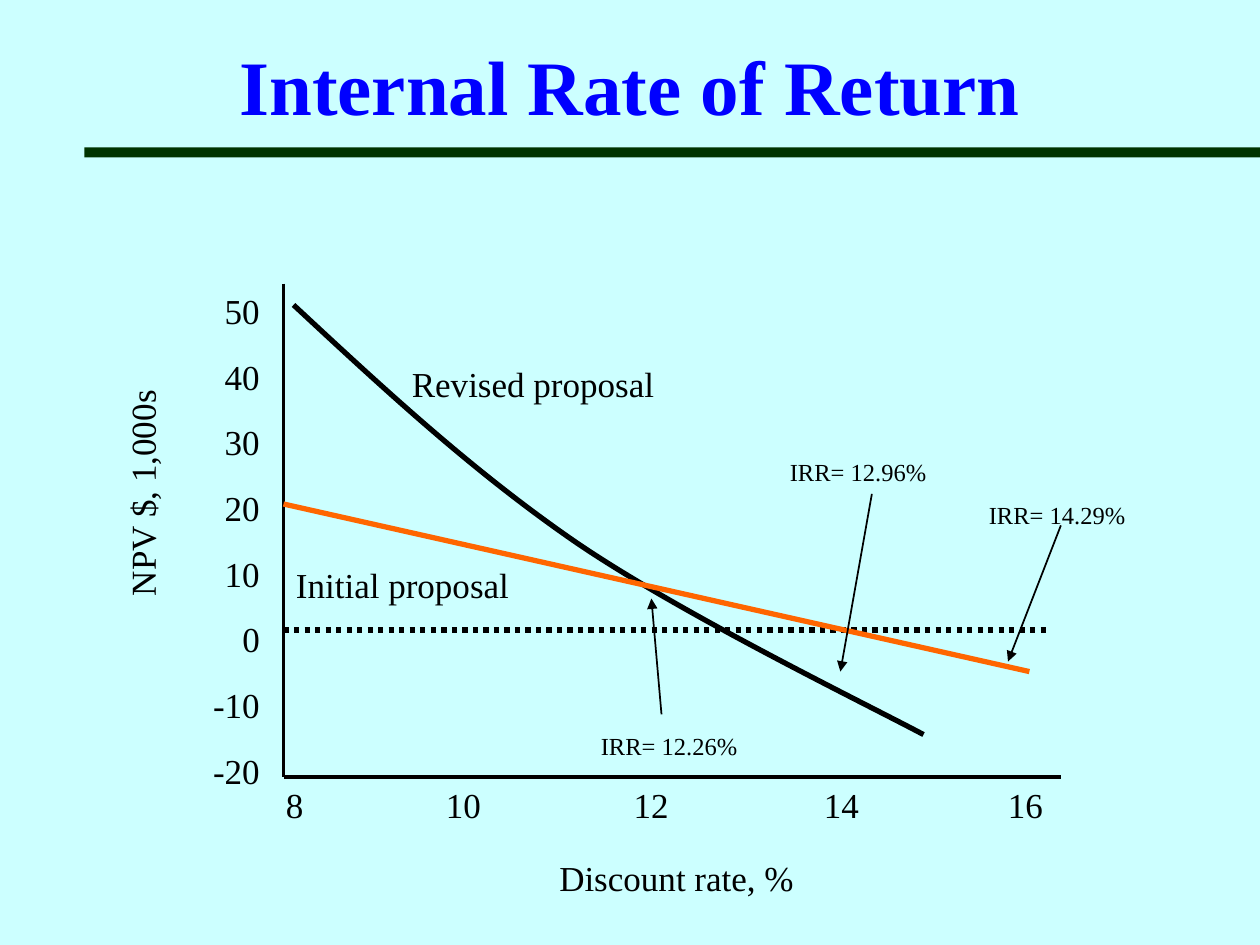
import pptx
import pptx.util
import pptx.dml.color
import pptx.enum.dml
import pptx.enum.shapes
import pptx.enum.text
import pptx.oxml
import pptx.oxml.ns

Inches = pptx.util.Inches
Pt = pptx.util.Pt
qn = pptx.oxml.ns.qn
PP_ALIGN = pptx.enum.text.PP_ALIGN

THEME = {
    "font": "Times New Roman",
    "background": "CCFFFF", "bar": "003300", "title": "0000FF",
    "ink": "000000", "initial": "FF6600",
    "title_size": 44, "label_size": 20, "note_size": 14,
    "axis_width": 2.25, "curve_width": 3, "arrow_width": 1,
    "tick_gap": 13.5,
}

TITLE = "Internal Rate of Return"
Y_TITLE = "NPV $, 1,000s"
X_TITLE = "Discount rate, %"
Y_TICKS = [str(value) for value in range(50, -21, -10)]
X_TICKS = [str(value) for value in range(8, 17, 2)]
X_TICK_TABS = (1.41, 2.9, 4.41, 5.87)

SERIES_LABELS = [
    ("Revised proposal", 3.17, 2.83),
    ("Initial proposal", 2.25, 4.42),
]
IRR_NOTES = [
    ("IRR= 14.29%", (7.75, 3.92), (8.42, 4.17), (8, 5.25)),
    ("IRR= 12.96%", (6.17, 3.58), (6.92, 3.92), (6.67, 5.33)),
    ("IRR= 12.26%", (4.67, 5.75), (5.25, 5.67), (5.17, 4.75)),
]
ORIGIN = (2.25, 6.17)
Y_AXIS_TOP = (2.25, 2.25)
X_AXIS_END = (8.42, 6.17)
ZERO_LINE = ((2.25, 5), (8.33, 5))
INITIAL_LINE = ((2.25, 4), (8.17, 5.33))
REVISED_CURVE = [(2.33, 2.42), (3.04, 3.08), (3.75, 3.74), (4.58, 4.31),
                 (5.42, 4.88), (6.86, 5.58), (7.33, 5.83)]


def rgb(name):
    return pptx.dml.color.RGBColor.from_string(THEME[name])


def write(tf, text, size="label_size", color="ink", bold=False,
          align=PP_ALIGN.LEFT, gap=0, tabs=()):
    tf.word_wrap = True
    for i, line in enumerate(text.split("\n")):
        p = tf.paragraphs[0] if i == 0 else tf.add_paragraph()
        if tabs:
            stops = pptx.oxml.parse_xml(
                f'<a:tabLst {pptx.oxml.ns.nsdecls("a")}>'
                + "".join(f'<a:tab pos="{Inches(t)}" algn="ctr"/>' for t in tabs)
                + "</a:tabLst>")
            p._p.get_or_add_pPr().append(stops)
        p.alignment = align
        if i and gap:
            p.space_before = Pt(gap)
        r = p.add_run()
        r.text = line
        r.font.name = THEME["font"]
        r.font.size = Pt(THEME[size])
        r.font.bold = bold
        r.font.color.rgb = rgb(color)


def add_text(slide, text, x, y, w, h=0.44, **fmt):
    sp = slide.shapes.add_textbox(Inches(x), Inches(y), Inches(w), Inches(h))
    write(sp.text_frame, text, **fmt)
    return sp


def add_line(slide, start, end, width, color="ink", dash=None, arrow=False):
    cx = slide.shapes.add_connector(
        pptx.enum.shapes.MSO_CONNECTOR.STRAIGHT, *map(Inches, start + end))
    cx.line.color.rgb = rgb(color)
    cx.line.width = Pt(THEME[width])
    if dash:
        cx.line.dash_style = dash
    if arrow:
        ln = cx.line._get_or_add_ln()
        ln.append(ln.makeelement(qn("a:tailEnd"), {"type": "triangle"}))
    props = cx._element.spPr
    props.append(props.makeelement(qn("a:effectLst"), {}))


def add_bezier(slide, points, width, color):
    emu = [(Inches(x), Inches(y)) for x, y in points]
    builder = slide.shapes.build_freeform(*emu[0])
    builder.add_line_segments(emu[1:], close=False)
    sp = builder.convert_to_shape()
    outline = sp._element.find(".//" + qn("a:path"))
    segments = outline.findall(qn("a:lnTo"))
    for i in range(0, len(segments), 3):
        curve = outline.makeelement(qn("a:cubicBezTo"), {})
        outline.append(curve)
        for segment in segments[i:i + 3]:
            curve.append(segment[0])
            outline.remove(segment)
    sp.shadow.inherit = False
    sp.fill.background()
    sp.line.color.rgb = rgb(color)
    sp.line.width = Pt(THEME[width])


def main():
    prs = pptx.Presentation()
    prs.slide_width, prs.slide_height = Inches(10), Inches(7.5)
    slide = prs.slides.add_slide(prs.slide_layouts[5])
    slide.background.fill.solid()
    slide.background.fill.fore_color.rgb = rgb("background")

    title = slide.shapes.title
    title.left, title.top = Inches(0.75), Inches(0.17)
    title.width, title.height = Inches(8.5), Inches(1)
    title.text_frame.auto_size = pptx.enum.text.MSO_AUTO_SIZE.NONE
    title.text_frame.vertical_anchor = pptx.enum.text.MSO_ANCHOR.MIDDLE
    write(title.text_frame, TITLE, size="title_size", color="title",
          bold=True, align=PP_ALIGN.CENTER)

    bar = slide.shapes.add_shape(
        pptx.enum.shapes.MSO_SHAPE.RECTANGLE,
        Inches(0.67), Inches(1.17), Inches(9.33), Inches(0.08))
    bar.shadow.inherit = False
    bar.fill.solid()
    bar.fill.fore_color.rgb = rgb("bar")
    bar.line.fill.background()

    add_line(slide, Y_AXIS_TOP, ORIGIN, "axis_width")
    add_line(slide, ORIGIN, X_AXIS_END, "axis_width")
    add_text(slide, "\n".join(Y_TICKS), 1.48, 2.25, 0.68, 3.99,
             align=PP_ALIGN.RIGHT, gap=THEME["tick_gap"])
    add_text(slide, "\t".join(X_TICKS), 2.17, 6.17, 7.83, tabs=X_TICK_TABS)
    add_text(slide, Y_TITLE, -0.41, 3.07, 3.08).rotation = 270
    add_text(slide, X_TITLE, 3.08, 6.75, 4.58, align=PP_ALIGN.CENTER)

    add_line(slide, *ZERO_LINE, "curve_width",
             dash=pptx.enum.dml.MSO_LINE.ROUND_DOT)
    add_bezier(slide, REVISED_CURVE, "curve_width", "ink")
    add_line(slide, *INITIAL_LINE, "curve_width", color="initial")

    for text, x, y in SERIES_LABELS:
        add_text(slide, text, x, y, 3.25)
    for text, (x, y), start, end in IRR_NOTES:
        add_text(slide, text, x, y, 1.67, 0.34, size="note_size")
        add_line(slide, start, end, "arrow_width", arrow=True)

    prs.save("out.pptx")


if __name__ == "__main__":
    main()
